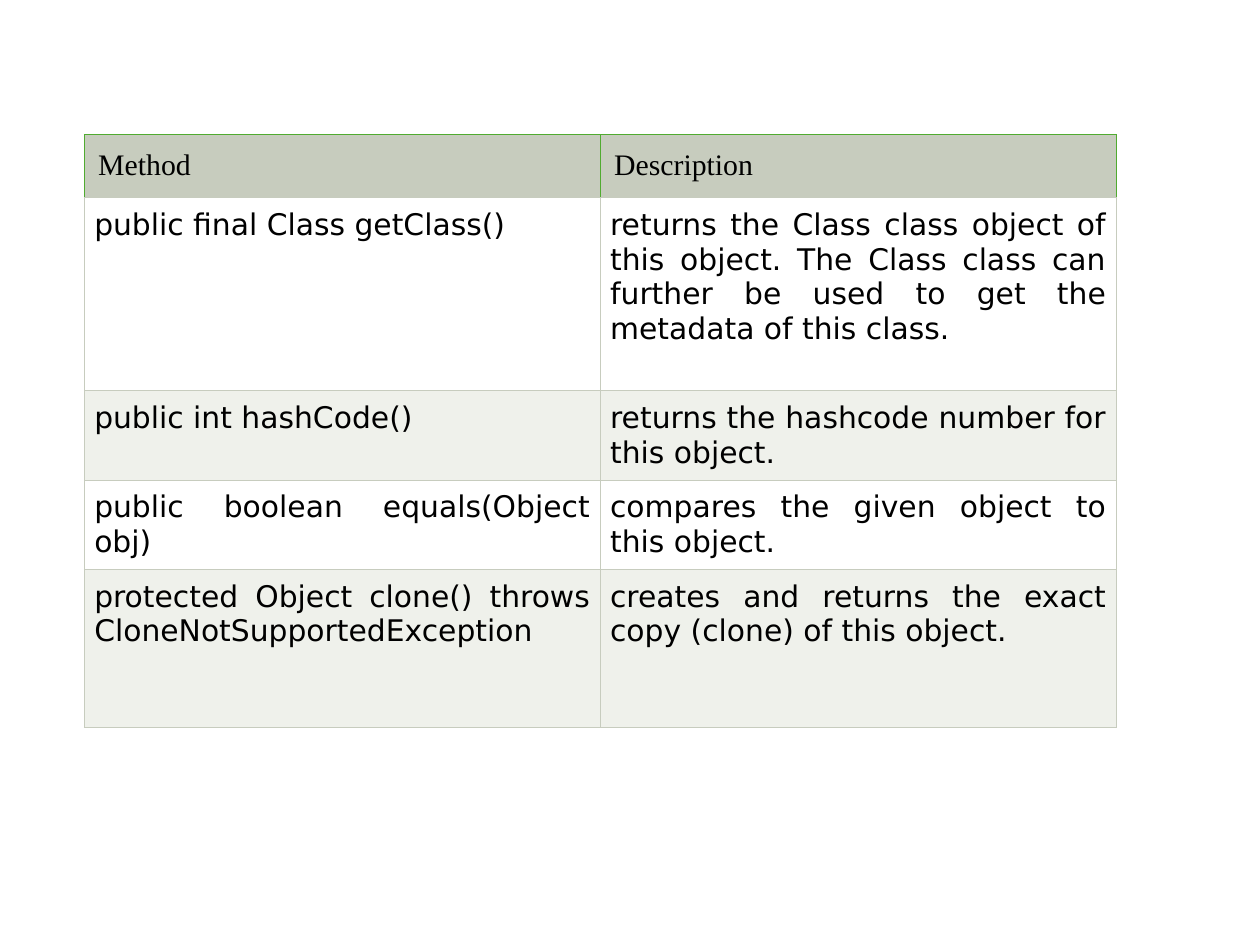
"""Builds a slide with a table of the methods of the Object class."""
from dataclasses import dataclass

from lxml import etree
from pptx import Presentation
from pptx.dml.color import RGBColor
from pptx.enum.text import PP_ALIGN
from pptx.oxml.ns import qn
from pptx.util import Cm, Pt

LEFT = PP_ALIGN.LEFT
JUSTIFY = PP_ALIGN.JUSTIFY


@dataclass(frozen=True)
class Theme:
    ink: str = "000000"
    header_fill: str = "C7CCBE"
    header_edge: str = "50AB30"
    edge: str = "C7CCBE"
    bands: tuple = ("FFFFFF", "EFF1EB")
    header_font: str = "Times New Roman"
    body_font: str = "DejaVu Sans"
    text_size: float = 17
    edge_width: float = 0.75
    header_inset: float = 0.28
    body_inset: float = 0.2


def write_text(frame, text, *, font, size, color, align=LEFT):
    paragraph = frame.paragraphs[0]
    paragraph.alignment = align
    run = paragraph.add_run()
    run.text = text
    run.font.name = font
    run.font.size = Pt(size)
    run.font.bold = False
    run.font.color.rgb = RGBColor.from_string(color)


class SlideBuilder:
    def __init__(self, slide, theme):
        self.slide = slide
        self.theme = theme

    def edge(self, cell, side, color):
        properties = cell._tc.get_or_add_tcPr()
        line = etree.SubElement(properties, qn(f"a:ln{side}"), w=str(Pt(self.theme.edge_width)))
        fill = etree.SubElement(line, qn("a:solidFill"))
        etree.SubElement(fill, qn("a:srgbClr"), val=color)

    def cell(self, cell, text, *, fill, edges, inset, font, align):
        for side, color in zip("LRTB", edges):
            self.edge(cell, side, color)
        cell.fill.solid()
        cell.fill.fore_color.rgb = RGBColor.from_string(fill)
        cell.margin_left = cell.margin_right = Cm(inset)
        cell.margin_top = cell.margin_bottom = Cm(inset)
        write_text(cell.text_frame, text, font=font, size=self.theme.text_size,
                   color=self.theme.ink, align=align)

    def table(self, rows, left, top, column_width, row_heights):
        theme = self.theme
        columns = len(rows[0])
        table = self.slide.shapes.add_table(
            len(rows), columns, Cm(left), Cm(top),
            Cm(column_width * columns), Cm(sum(row_heights))).table
        for column in table.columns:
            column.width = Cm(column_width)
        header = dict(fill=theme.header_fill, edges=[theme.header_edge] * 3 + [theme.edge],
                      inset=theme.header_inset, font=theme.header_font, align=LEFT)
        body = dict(edges=[theme.edge] * 4, inset=theme.body_inset,
                    font=theme.body_font, align=JUSTIFY)
        for index, (texts, height) in enumerate(zip(rows, row_heights)):
            table.rows[index].height = Cm(height)
            band = theme.bands[(index - 1) % 2]
            style = {**body, "fill": band} if index else header
            for column, text in enumerate(texts):
                self.cell(table.cell(index, column), text, **style)


METHODS = [
    ("Method", "Description"),
    ("public final Class getClass()",
     "returns the Class class object of this object. The Class class can further "
     "be used to get the metadata of this class."),
    ("public int hashCode()", "returns the hashcode number for this object."),
    ("public boolean equals(Object obj)", "compares the given object to this object."),
    ("protected Object clone() throws CloneNotSupportedException",
     "creates and returns the exact copy (clone) of this object."),
]

presentation = Presentation()
presentation.slide_width = Cm(25.4)
presentation.slide_height = Cm(19.05)
builder = SlideBuilder(presentation.slides.add_slide(presentation.slide_layouts[6]), Theme())
builder.table(METHODS, left=1.7, top=2.72, column_width=10.4,
              row_heights=[1.27, 3.89, 1.79, 1.79, 3.19])
presentation.save("out.pptx")
